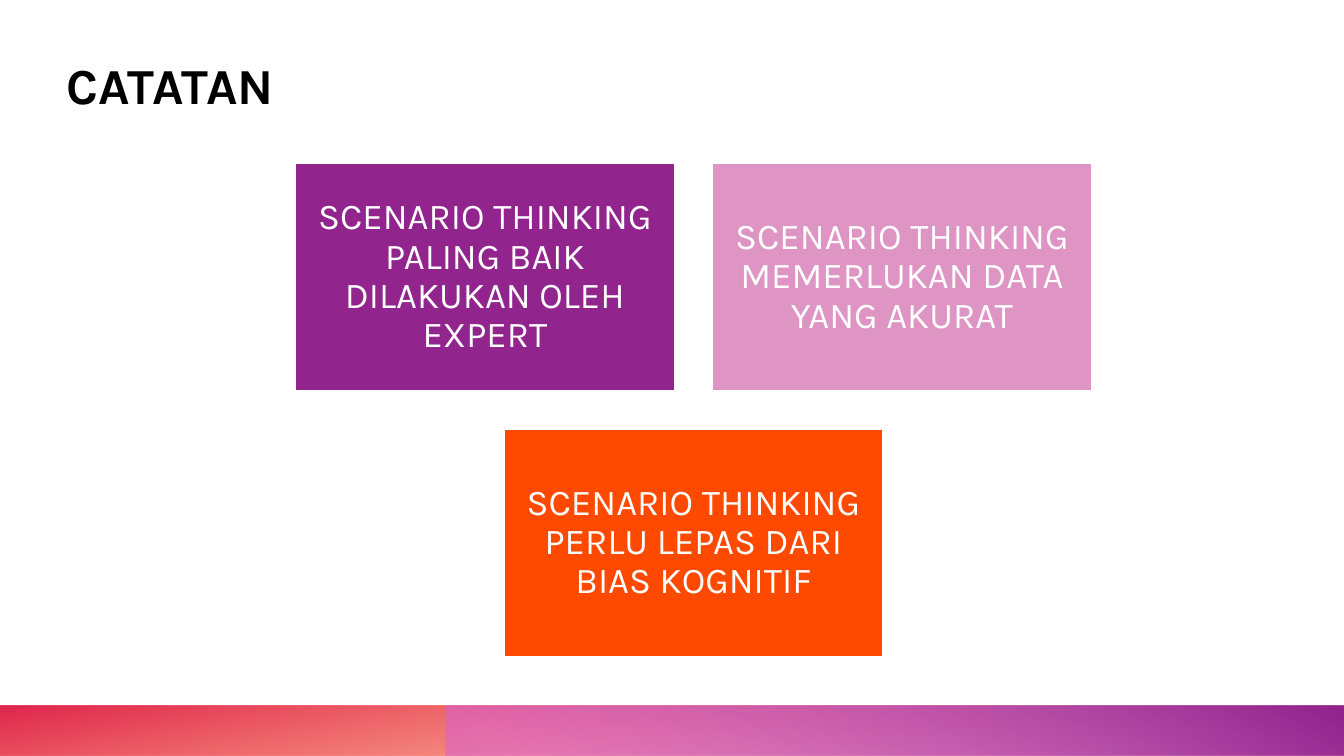
"""Build the CATATAN slide with three note cards above a gradient footer."""
from pptx import Presentation
from pptx.dml.color import RGBColor
from pptx.enum.shapes import MSO_SHAPE
from pptx.enum.text import MSO_ANCHOR, PP_ALIGN
from pptx.oxml.ns import qn
from pptx.util import Cm, Pt
from lxml.etree import SubElement

WHITE = RGBColor(0xFF, 0xFF, 0xFF)
BLACK = RGBColor(0x00, 0x00, 0x00)
PURPLE = RGBColor(0x92, 0x24, 0x8E)
PINK = RGBColor(0xDE, 0x95, 0xC4)
ORANGE = RGBColor(0xFE, 0x4A, 0x00)
RED = RGBColor(0xDA, 0x00, 0x2F)
ORCHID = RGBColor(0xD8, 0x61, 0xD4)

FONT = "Karla"
TITLE = "CATATAN"
CARD_ROWS = [
    [("SCENARIO THINKING PALING BAIK DILAKUKAN OLEH EXPERT", PURPLE),
     ("SCENARIO THINKING MEMERLUKAN DATA YANG AKURAT", PINK)],
    [("SCENARIO THINKING PERLU LEPAS DARI BIAS KOGNITIF", ORANGE)],
]
FOOTER_BANDS = [
    {"left": 0, "rotation": 180, "angle": 100,
     "stops": [(0.14, ORANGE, 28), (1, RED, 85)]},
    {"left": 11.22, "rotation": 0, "angle": 240,
     "stops": [(0.09, ORCHID, 55), (0.99, PURPLE, 100)]},
]

SLIDE_WIDTH, SLIDE_HEIGHT = 33.87, 19.05
FOOTER_HEIGHT = 1.27
CARD_WIDTH, CARD_HEIGHT, CARD_GAP = 9.55, 5.74, 0.96
CARDS_CENTER, CARDS_TOP = 17.48, 4.11
CARD_INSET = 0.28


def add_rectangle(slide, left, top, width, height):
    shape = slide.shapes.add_shape(
        MSO_SHAPE.RECTANGLE, Cm(left), Cm(top), Cm(width), Cm(height))
    shape.shadow.inherit = False
    return shape


def write_text(shape, text, size, color, inset, anchor, alignment, bold=False):
    frame = shape.text_frame
    frame.word_wrap = True
    frame.vertical_anchor = anchor
    frame.margin_left = frame.margin_right = Cm(inset)
    frame.margin_top = frame.margin_bottom = Cm(inset)
    paragraph = frame.paragraphs[0]
    paragraph.alignment = alignment
    paragraph.line_spacing = 0.9
    run = paragraph.add_run()
    run.text = text
    run.font.name = FONT
    run.font.size = Pt(size)
    run.font.bold = bold
    run.font.color.rgb = color


def add_footer_band(slide, left, rotation, angle, stops):
    band = add_rectangle(slide, left, SLIDE_HEIGHT - FOOTER_HEIGHT,
                         SLIDE_WIDTH - left, FOOTER_HEIGHT)
    band.line.fill.background()
    band.rotation = rotation
    band.element.spPr.find(qn("a:xfrm")).set("flipH", "1")
    band.fill.gradient()
    band.fill.gradient_angle = 360 - angle
    for gradient_stop, (position, color, _) in zip(band.fill.gradient_stops, stops):
        gradient_stop.position = position
        gradient_stop.color.rgb = color
    color_elements = band.element.spPr.iter(qn("a:srgbClr"))
    for element, (_, _, opacity) in zip(list(color_elements), stops):
        SubElement(element, qn("a:alpha")).set("val", str(opacity * 1000))


def add_cards(slide):
    for row_index, row in enumerate(CARD_ROWS):
        row_width = len(row) * (CARD_WIDTH + CARD_GAP) - CARD_GAP
        row_left = CARDS_CENTER - row_width / 2
        top = CARDS_TOP + row_index * (CARD_HEIGHT + CARD_GAP)
        for column, (text, color) in enumerate(row):
            left = row_left + column * (CARD_WIDTH + CARD_GAP)
            card = add_rectangle(slide, left, top, CARD_WIDTH, CARD_HEIGHT)
            card.fill.solid()
            card.fill.fore_color.rgb = color
            card.line.color.rgb = WHITE
            card.line.width = Pt(1)
            write_text(card, text, 26, WHITE, CARD_INSET,
                       MSO_ANCHOR.MIDDLE, PP_ALIGN.CENTER)


def main():
    presentation = Presentation()
    presentation.slide_width = Cm(SLIDE_WIDTH)
    presentation.slide_height = Cm(SLIDE_HEIGHT)
    slide = presentation.slides.add_slide(presentation.slide_layouts[6])
    for band in FOOTER_BANDS:
        add_footer_band(slide, **band)
    title = slide.shapes.add_textbox(Cm(1.68), Cm(0.25), Cm(28.45), Cm(2.67))
    write_text(title, TITLE, 36, BLACK, 0, MSO_ANCHOR.BOTTOM, PP_ALIGN.LEFT, bold=True)
    add_cards(slide)
    presentation.save("out.pptx")


if __name__ == "__main__":
    main()
